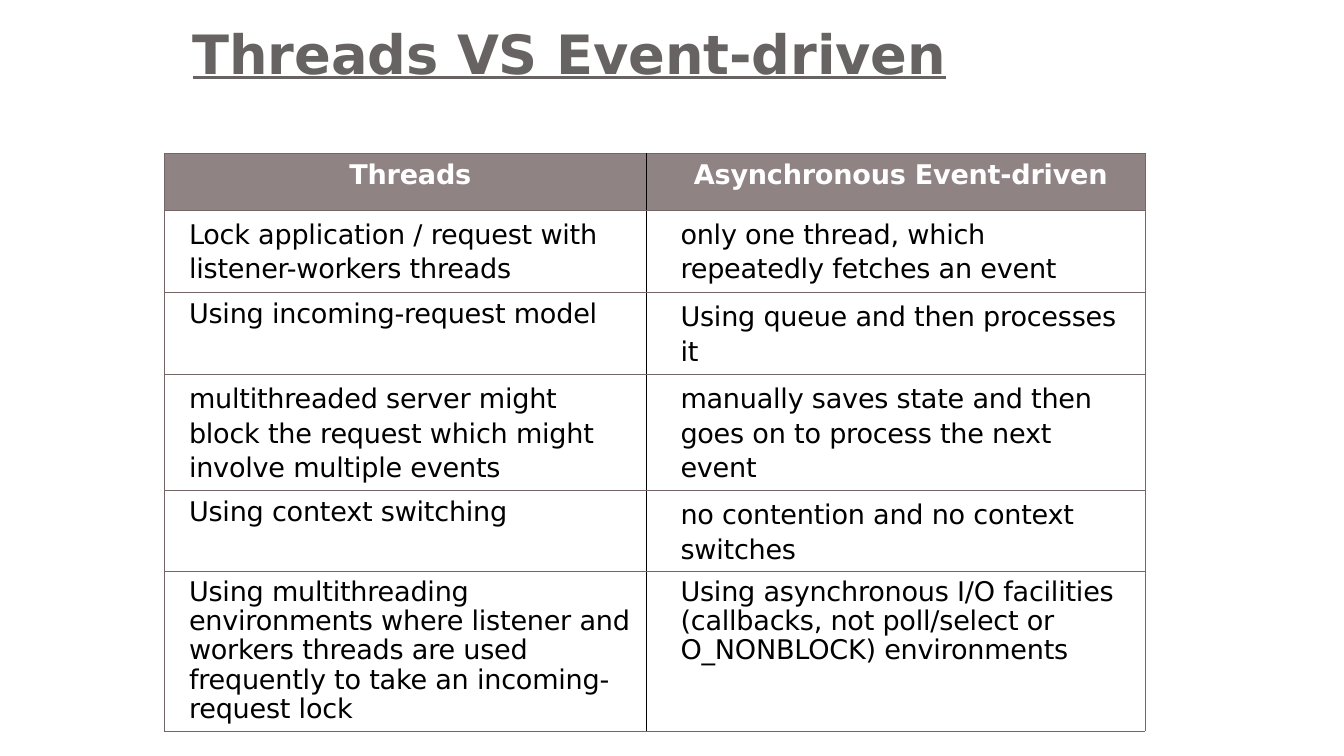
import pptx
import pptx.util
import pptx.dml.color
import pptx.enum.text
import pptx.oxml
import pptx.oxml.ns
from lxml import etree

Pt, Inches = pptx.util.Pt, pptx.util.Inches
ALIGN = pptx.enum.text.PP_ALIGN

FONT = "DejaVu Sans"
GREY, HEADER, RULE = "686363", "908384", "726667"
WHITE, BLACK = "FFFFFF", "000000"

COLUMNS = [3.95, 4.09]
ROWS = [0.46, 0.68, 0.63, 0.91, 0.63, 1.3]
INDENTS = [0.1, 0.18]
HEADER_INDENTS = [0.08, 0.29]

HEADINGS = ["Threads", "Asynchronous Event-driven"]
# Each cell: text, line spacing (points, share of a line, or None)
BODY = [
    [("Lock application / request with listener-workers threads", Pt(20.4)),
     ("only one thread, which repeatedly fetches an event", Pt(20.4))],
    [("Using incoming-request model", None),
     ("Using queue and then processes it", Pt(20.4))],
    [("multithreaded server might block the request which might "
      "involve multiple events", Pt(20.5)),
     ("manually saves state and then goes on to process the next event", Pt(20.5))],
    [("Using context switching", None),
     ("no contention and no context switches", Pt(20.4))],
    [("Using multithreading environments where listener and workers threads "
      "are used frequently to take an incoming-request lock", 0.94),
     ("Using asynchronous I/O facilities (callbacks, not poll/select or "
      "O_NONBLOCK) environments", 0.94)],
]


def rgb(color):
    return pptx.dml.color.RGBColor.from_string(color)


def write(tf, text, size, color, bold=False, underline=False,
          align=ALIGN.LEFT, indent=0, before=0, spacing=None):
    """Fill a text frame with one formatted paragraph."""
    tf.text = text
    p = tf.paragraphs[0]
    p.alignment = align
    p.space_before = Pt(before)
    p.line_spacing = spacing
    pPr = p._p.get_or_add_pPr()
    pPr.set("marL", str(Inches(indent)))
    pPr.set("indent", "0")
    for r in p.runs:
        r.font.name, r.font.size = FONT, Pt(size)
        r.font.bold, r.font.underline = bold, underline
        r.font.color.rgb = rgb(color)
        r._r.get_or_add_rPr().set("spc", "-10")


def set_borders(cell, left, right):
    """Draw hairlines round a cell; they must precede its fill."""
    tcPr = cell._tc.get_or_add_tcPr()
    colors = {"lnL": left, "lnR": right, "lnT": RULE, "lnB": RULE}
    for i, (side, color) in enumerate(colors.items()):
        ln = etree.Element(pptx.oxml.ns.qn("a:" + side), w=str(Pt(0.23)))
        fill = etree.SubElement(ln, pptx.oxml.ns.qn("a:solidFill"))
        etree.SubElement(fill, pptx.oxml.ns.qn("a:srgbClr"), val=color)
        tcPr.insert(i, ln)


def add_title(s, text):
    title = s.shapes.title
    title.left, title.top = Inches(1.57), Inches(0.16)
    title.width, title.height = Inches(7.76), Inches(1.26)
    tf = title.text_frame
    tf.margin_left = tf.margin_right = tf.margin_bottom = 0
    tf.margin_top = Inches(0.01)
    tf.auto_size = pptx.enum.text.MSO_AUTO_SIZE.NONE
    tf.vertical_anchor = pptx.enum.text.MSO_ANCHOR.TOP
    write(tf, text, 32, GREY, bold=True, underline=True, indent=0.01, before=1)


def add_comparison(s):
    frame = s.shapes.add_table(len(ROWS), len(COLUMNS), Inches(1.35), Inches(1.26),
                               Inches(sum(COLUMNS)), Inches(sum(ROWS)))
    table = frame.table
    table.first_row = table.horz_banding = False
    for column, width in zip(table.columns, COLUMNS):
        column.width = Inches(width)
    for row, height in zip(table.rows, ROWS):
        row.height = Inches(height)

    # Header row
    for c, heading in enumerate(HEADINGS):
        cell = table.cell(0, c)
        cell.fill.solid()
        cell.fill.fore_color.rgb = rgb(HEADER)
        write(cell.text_frame, heading, 16, WHITE, bold=True, before=2.6,
              align=ALIGN.LEFT if c else ALIGN.CENTER, indent=HEADER_INDENTS[c])

    # Body rows
    for r, cells in enumerate(BODY, start=1):
        for c, (text, spacing) in enumerate(cells):
            cell = table.cell(r, c)
            cell.fill.background()
            write(cell.text_frame, text, 16, BLACK, indent=INDENTS[c],
                  before=4.3 if spacing else 2.7, spacing=spacing)

    # Grey frame and row rules, black line between the columns
    for r in range(len(ROWS)):
        set_borders(table.cell(r, 0), RULE, BLACK)
        set_borders(table.cell(r, 1), BLACK, RULE)


def main():
    prs = pptx.Presentation()
    prs.slide_width, prs.slide_height = Inches(11.02), Inches(6.2)
    s = prs.slides.add_slide(prs.slide_layouts.get_by_name("Title Only"))
    add_title(s, "Threads VS Event-driven")
    add_comparison(s)
    prs.save("out.pptx")


if __name__ == "__main__":
    main()
